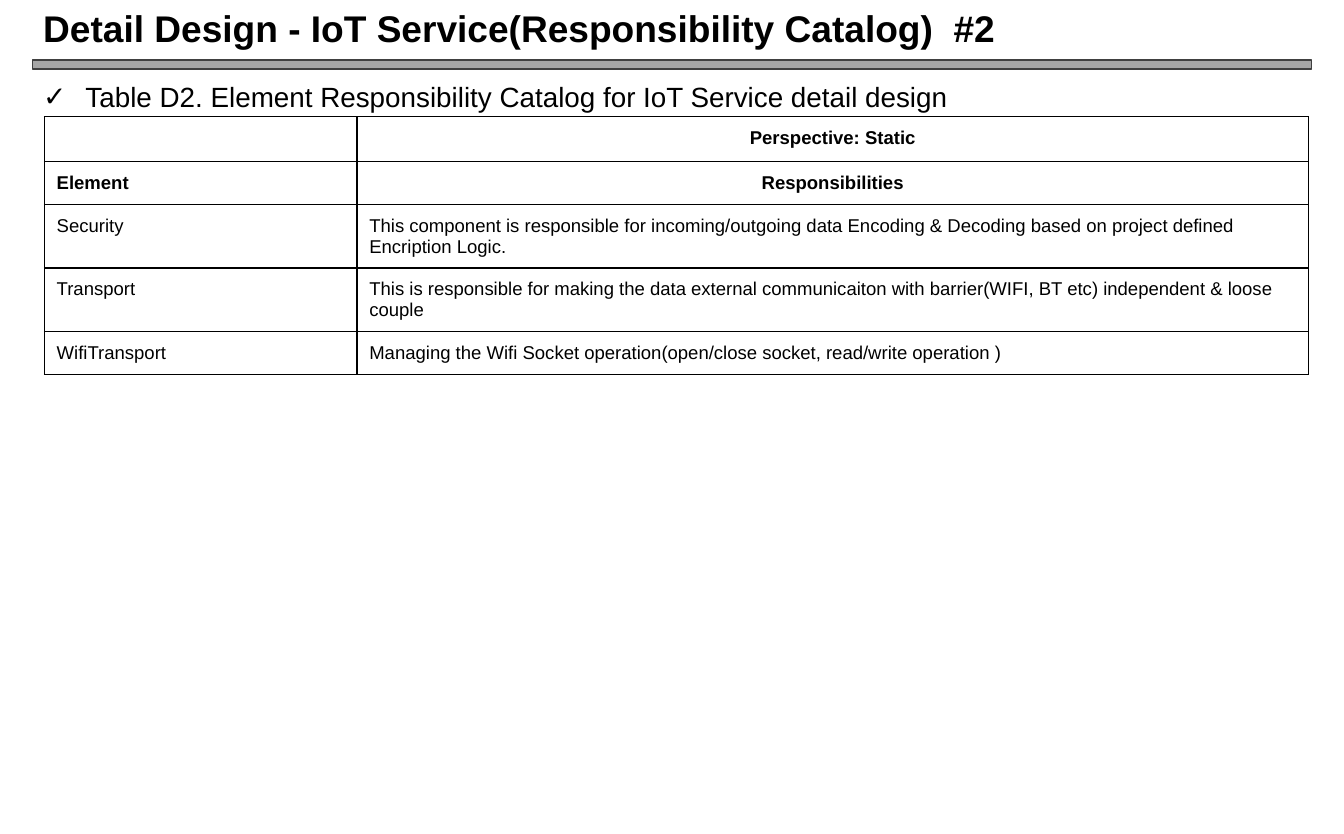
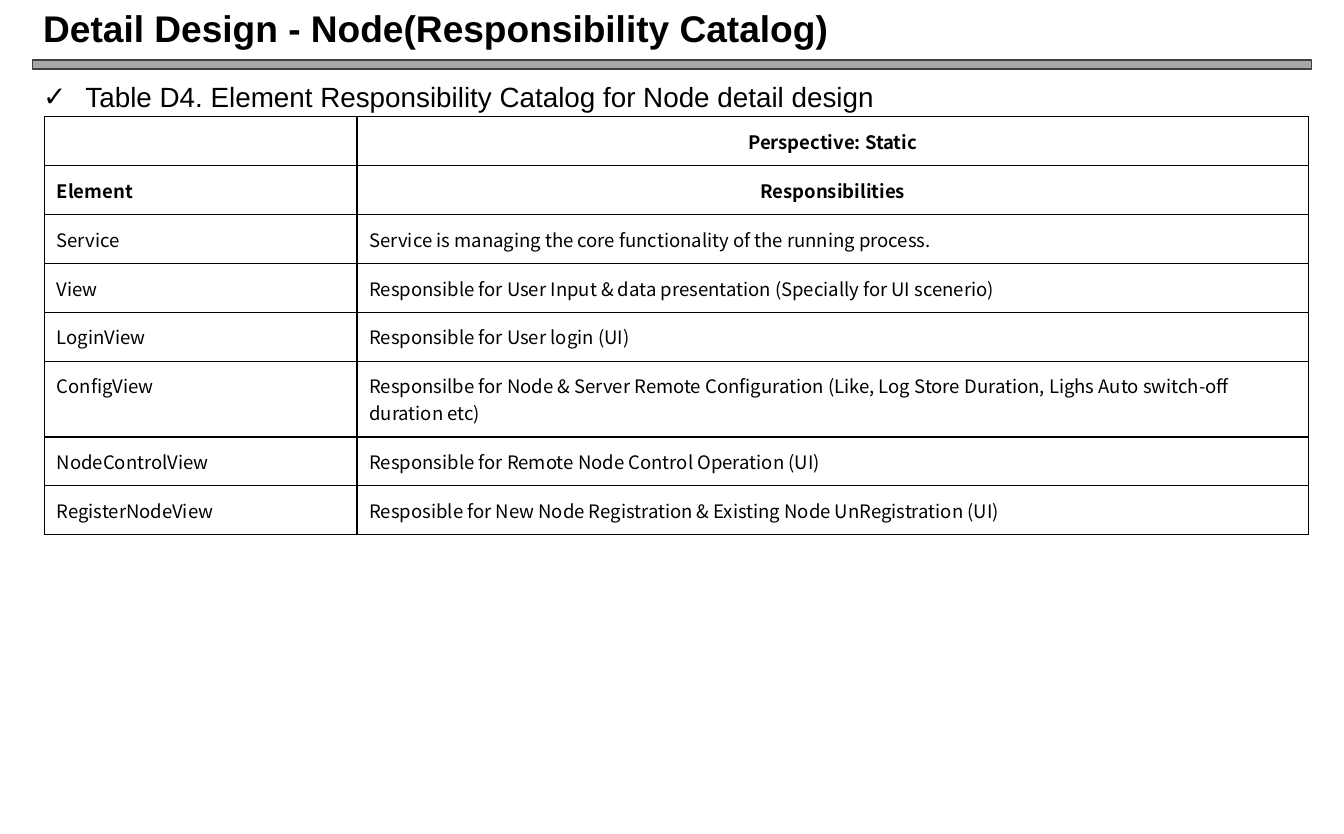
import pptx
import pptx.util
import pptx.dml.color
import pptx.enum.shapes
import pptx.enum.text
import pptx.oxml.ns
from lxml import etree

Inches, Pt = pptx.util.Inches, pptx.util.Pt
ALIGN = pptx.enum.text.PP_ALIGN
ANCHOR = pptx.enum.text.MSO_ANCHOR
SHAPE = pptx.enum.shapes.MSO_SHAPE


def color(text):
    return pptx.dml.color.RGBColor.from_string(text)


def add(parent, tag, **attrs):
    return etree.SubElement(parent, pptx.oxml.ns.qn(tag), attrs)


class Deck:
    """Holds the shared style and the current slide."""
    INK, BAND, EDGE = "000000", "A6A6A6", "404040"
    FONT = "Arial"
    LEFT, WIDTH = 0.29, 11.5
    COLS = (2.81, 8.55)
    FIRST = 0.4
    WRAP = 100  # characters that fit on one line of the wide column

    def __init__(self):
        self.prs = pptx.Presentation()
        self.prs.slide_width = Inches(12.08)
        self.prs.slide_height = Inches(7.5)

    def start(self, title, caption):
        self.slide = self.prs.slides.add_slide(self.prs.slide_layouts[6])
        self.band()
        self.caption(caption)
        self.title(title)

    def style(self, para, size, bold=False, font=FONT):
        for run in para.runs:
            run.font.name = font
            run.font.size = Pt(size)
            run.font.bold = bold
            run.font.color.rgb = color(self.INK)

    def band(self):
        bar = self.slide.shapes.add_shape(
            SHAPE.FLOWCHART_PROCESS, Inches(self.LEFT), Inches(0.54),
            Inches(self.WIDTH), Inches(0.08))
        bar.shadow.inherit = False
        bar.fill.solid()
        bar.fill.fore_color.rgb = color(self.BAND)
        bar.line.color.rgb = color(self.EDGE)
        bar.line.width = Pt(0.75)

    def box(self, text, top, height, inset):
        shape = self.slide.shapes.add_textbox(
            Inches(self.LEFT), Inches(top), Inches(self.WIDTH), Inches(height))
        frame = shape.text_frame
        frame.word_wrap = True
        frame.margin_top = frame.margin_bottom = Inches(inset)
        frame.text = text
        return frame

    def title(self, text):
        frame = self.box(text, -0.02, 0.54, 0.1)
        frame.vertical_anchor = ANCHOR.MIDDLE
        self.style(frame.paragraphs[0], 24, bold=True)

    def caption(self, text):
        para = self.box(text, 0.67, 0.77, 0.05).paragraphs[0]
        props = para._p.get_or_add_pPr()
        props.set("marL", str(Inches(0.38)))
        props.set("indent", str(-Inches(0.38)))
        add(props, "a:buFont", typeface=self.FONT)
        add(props, "a:buChar", char="✓")
        self.style(para, 18)

    def border(self, cell):
        props = cell._tc.get_or_add_tcPr()
        for side in ("a:lnL", "a:lnR", "a:lnT", "a:lnB"):
            line = add(props, side, w=str(Pt(1)))
            add(add(line, "a:solidFill"), "a:srgbClr", val=self.INK)

    def cell(self, cell, text, font, bold, center):
        self.border(cell)
        cell.fill.background()
        if not text:
            return
        cell.margin_left = cell.margin_right = Inches(0.11)
        cell.margin_top, cell.margin_bottom = Inches(0.1), Inches(0.07)
        cell.text_frame.text = text
        para = cell.text_frame.paragraphs[0]
        para.alignment = ALIGN.CENTER if center else ALIGN.LEFT
        self.style(para, 12, bold, font)

    def table(self, items, single, double, font=FONT):
        """Rows are single high, or double where the text wraps."""
        rows = [("", "Perspective: Static"), ("Element", "Responsibilities")]
        heads = len(rows)
        rows += items
        highs = [double if len(row[1]) > self.WRAP else single for row in rows]
        highs[0] = max(self.FIRST, single)
        table = self.slide.shapes.add_table(
            len(rows), len(self.COLS), Inches(0.4), Inches(1.05),
            Inches(sum(self.COLS)), Inches(sum(highs))).table
        table.first_row = table.horz_banding = False
        for col, width in zip(table.columns, self.COLS):
            col.width = Inches(width)
        for r, row in enumerate(rows):
            table.rows[r].height = Inches(highs[r])
            head = r < heads
            for c, text in enumerate(row):
                self.cell(table.cell(r, c), text, font, head, head and c == 1)


def main():
    deck = Deck()

    # IoT service
    deck.start("Detail Design - IoT Service(Responsibility Catalog)  #2",
               "Table D2. Element Responsibility Catalog for IoT Service detail design")
    deck.table([
        ("Security", "This component is responsible for incoming/outgoing data "
         "Encoding & Decoding based on project defined Encription Logic."),
        ("Transport", "This is responsible for making the data external communicaiton "
         "with barrier(WIFI, BT etc) independent & loose couple"),
        ("WifiTransport", "Managing the Wifi Socket operation(open/close socket, "
         "read/write operation )"),
    ], 0.39, 0.57)

    # Node
    deck.start("Detail Design - Node(Responsibility Catalog)",
               "Table D4. Element Responsibility Catalog for Node detail design")
    deck.table([
        ("Service", "Service is managing the core functionality of the running process."),
        ("View", "Responsible for User Input & data presentation "
         "(Specially for UI scenerio)"),
        ("LoginView", "Responsible for User login (UI)"),
        ("ConfigView", "Responsilbe for Node & Server Remote Configuration "
         "(Like, Log Store Duration, Lighs Auto switch-off duration etc)"),
        ("NodeControlView", "Responsible for Remote Node Control Operation (UI)"),
        ("RegisterNodeView", "Resposible for New Node Registration & "
         "Existing Node UnRegistration (UI)"),
    ], 0.44, 0.68, font="Noto Sans CJK KR")

    deck.prs.save("out.pptx")


if __name__ == "__main__":
    main()
